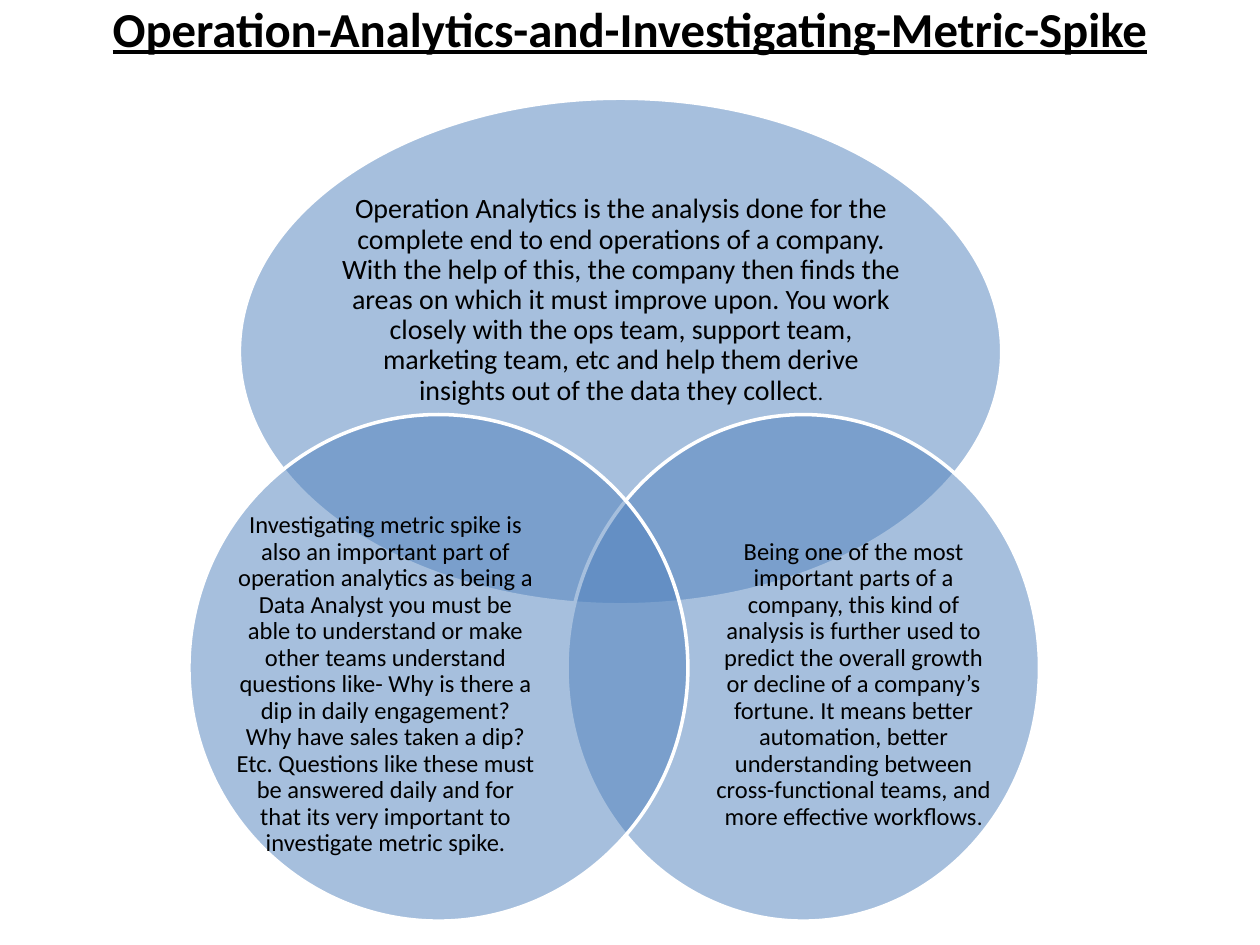
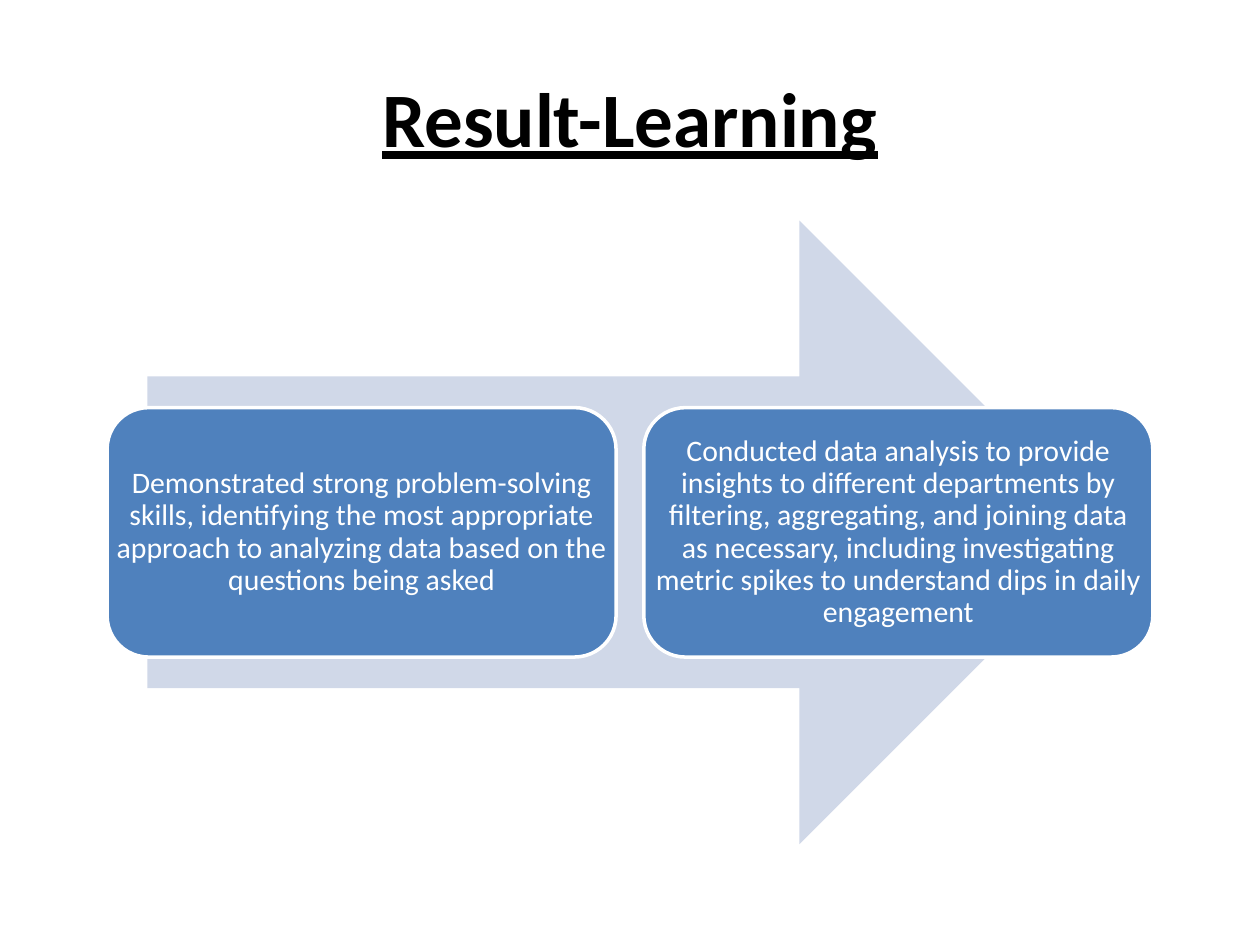
"""Build two slides on operation analytics: a three-circle Venn and an arrow with two results."""
from dataclasses import dataclass

import pptx
import pptx.dml.color
import pptx.enum.shapes
import pptx.enum.text
import pptx.oxml.ns
import pptx.util
from lxml import etree
from pptx.util import Inches

SHAPE = pptx.enum.shapes.MSO_SHAPE


@dataclass(frozen=True)
class Theme:
    font: str = "Calibri"
    ink: str = "000000"
    white: str = "FFFFFF"
    blue: str = "4F81BD"
    pale: str = "D0D8E8"
    outline: float = 2
    venn_alpha: int = 50
    long_title: float = 27.9
    title: float = 44
    lead: float = 16
    body: float = 14
    card: float = 17
    lead_stop: float = 12
    body_stop: float = 13


T = Theme()

VENN_TITLE = "Operation-Analytics-and-Investigating-Metric-Spike"
VENN = [
    {"oval": (1.9, 0.78, 6.05, 4.02), "label": (2.71, 1.48, 4.44, 1.81),
     "runs": [("Operation Analytics is the analysis done for the complete end to end operations of a "
               "company. With the help of this, the company then finds the areas on which it must "
               "improve upon. You work closely with the ops team, support team, marketing team, etc "
               "and help them derive insights out of the data they collect", T.lead),
              (".", T.lead_stop)]},
    {"oval": (4.5, 3.29, 3.75, 4.02), "label": (5.65, 4.33, 2.25, 2.21),
     "runs": [("Being one of the most important parts of a company, this kind of analysis is further "
               "used to predict the overall growth or decline of a company’s fortune. It means better "
               "automation, better understanding between cross-functional teams, and more effective "
               "workflows", T.body),
              (".", T.body_stop)]},
    {"oval": (1.5, 3.29, 3.96, 4.02), "label": (1.87, 4.33, 2.38, 2.21),
     "runs": [("Investigating metric spike is also an important part of operation analytics as being a "
               "Data Analyst you must be able to understand or make other teams understand questions "
               "like- Why is there a dip in daily engagement? Why have sales taken a dip? Etc. "
               "Questions like these must be answered daily and for that its very important to "
               "investigate metric spike.", T.body)]},
]

RESULT_TITLE = "Result-Learning"
RESULTS = [
    "Demonstrated strong problem-solving skills, identifying the most appropriate approach to "
    "analyzing data based on the questions being asked",
    "Conducted data analysis to provide insights to different departments by filtering, "
    "aggregating, and joining data as necessary, including investigating metric spikes to "
    "understand dips in daily engagement",
]
ARROW = (1.17, 1.75, 7.65, 4.95)
CARD_LEFT, CARD_WIDTH, CARD_HEIGHT, CARD_GAP = 0.85, 4.04, 1.98, 0.22


def rgb(value):
    return pptx.dml.color.RGBColor.from_string(value)


def add_shape(s, kind, box, fill, outlined=True, alpha=None):
    sp = s.shapes.add_shape(kind, *map(Inches, box))
    sp.shadow.inherit = False
    sp.fill.solid()
    sp.fill.fore_color.rgb = rgb(fill)
    if alpha is not None:
        color = sp.fill._xPr.find(".//" + pptx.oxml.ns.qn("a:srgbClr"))
        etree.SubElement(color, pptx.oxml.ns.qn("a:alpha"), val=str(alpha * 1000))
    if outlined:
        sp.line.color.rgb = rgb(T.white)
        sp.line.width = pptx.util.Pt(T.outline)
    else:
        sp.line.fill.background()
    return sp


def add_text(s, box, runs, color, inset=0, spacing=0.9):
    tf = s.shapes.add_textbox(*map(Inches, box)).text_frame
    tf.word_wrap = True
    tf.vertical_anchor = pptx.enum.text.MSO_ANCHOR.MIDDLE
    tf.margin_left = tf.margin_right = tf.margin_top = tf.margin_bottom = Inches(inset)
    p = tf.paragraphs[0]
    p.alignment = pptx.enum.text.PP_ALIGN.CENTER
    p.line_spacing = spacing
    for text, size in runs:
        r = p.add_run()
        r.text = text
        r.font.name = T.font
        r.font.size = pptx.util.Pt(size)
        r.font.color.rgb = rgb(color)
    return p


def add_slide(prs, title, size, top, height):
    s = prs.slides.add_slide(prs.slide_layouts[6])
    p = add_text(s, (0.5, top, 9, height), [(title, size)], T.ink, spacing=1.0)
    for r in p.runs:
        r.font.bold = r.font.underline = True
    return s


def build_venn(prs):
    s = add_slide(prs, VENN_TITLE, T.long_title, 0, 0.44)
    for part in VENN:
        add_shape(s, SHAPE.OVAL, part["oval"], T.blue, alpha=T.venn_alpha)
        add_text(s, part["label"], part["runs"], T.ink)


def build_results(prs):
    s = add_slide(prs, RESULT_TITLE, T.title, 0.3, 1.25)
    add_shape(s, SHAPE.RIGHT_ARROW, ARROW, T.pale, outlined=False)
    top = ARROW[1] + (ARROW[3] - CARD_HEIGHT) / 2
    for i, text in enumerate(RESULTS):
        box = (CARD_LEFT + i * (CARD_WIDTH + CARD_GAP), top, CARD_WIDTH, CARD_HEIGHT)
        add_shape(s, SHAPE.ROUNDED_RECTANGLE, box, T.blue)
        add_text(s, box, [(text, T.card)], T.white, inset=0.07)


def main():
    prs = pptx.Presentation()
    prs.slide_width, prs.slide_height = Inches(10), Inches(7.5)
    build_venn(prs)
    build_results(prs)
    prs.save("out.pptx")


if __name__ == "__main__":
    main()
